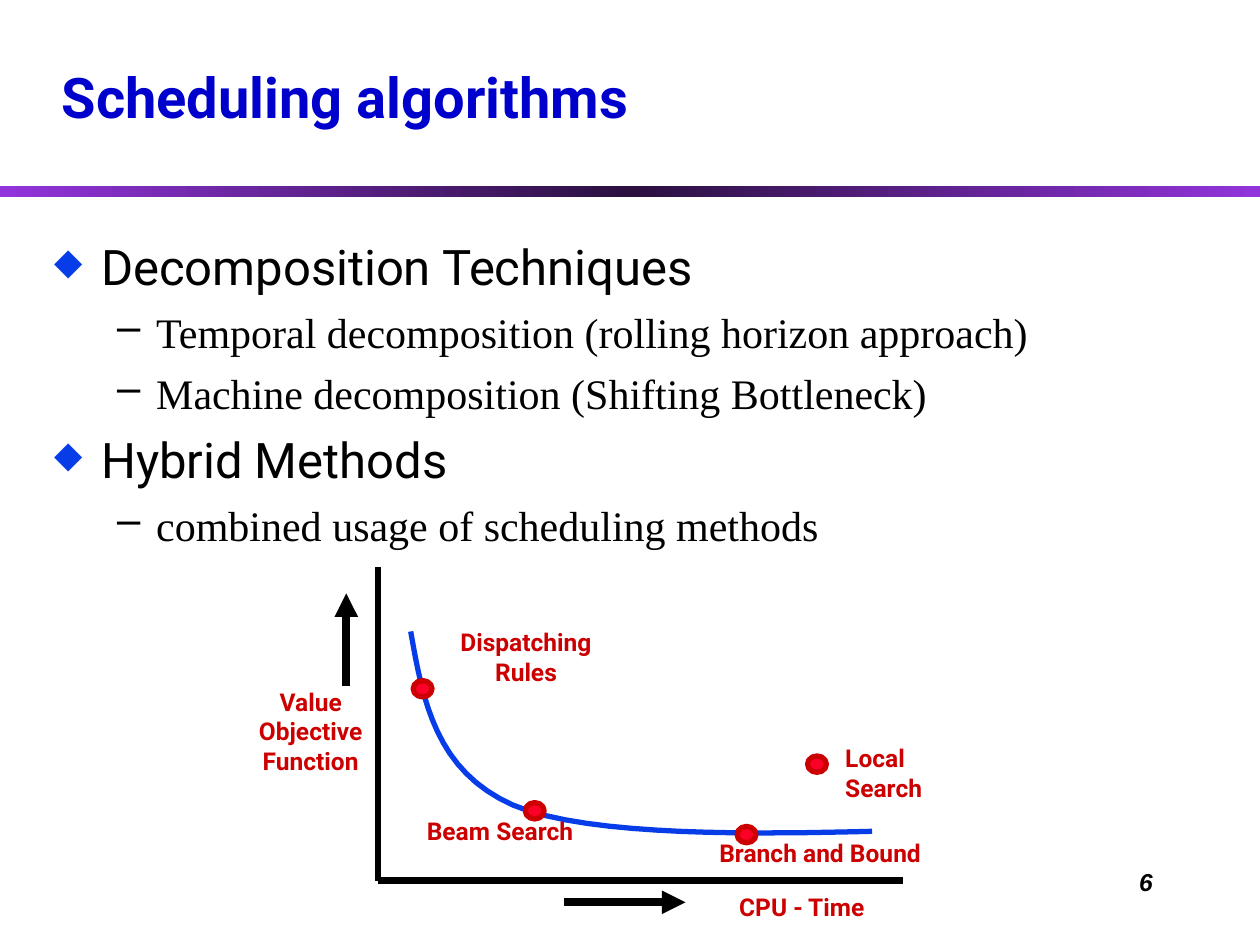
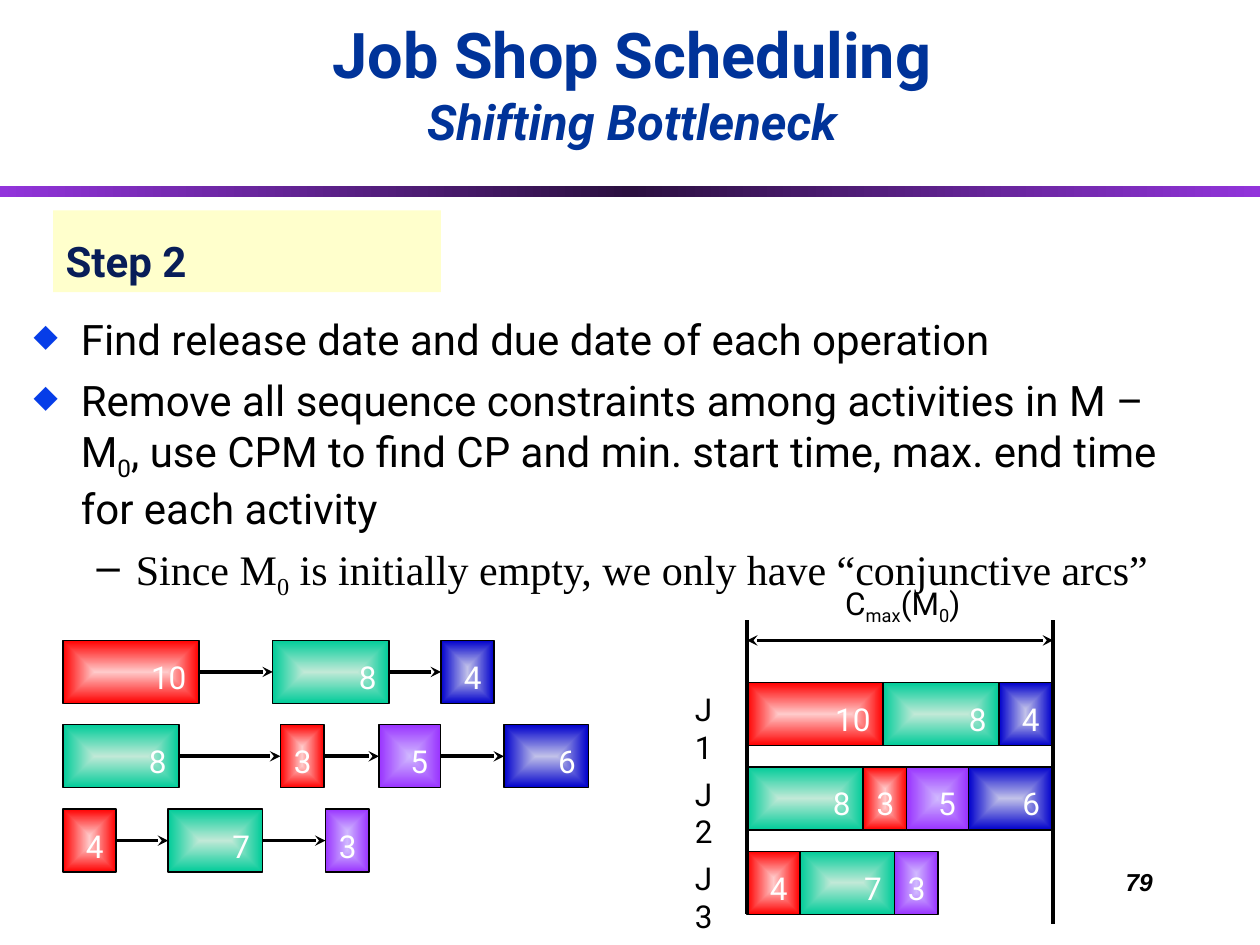
from itertools import pairwise

from lxml import etree
from pptx import Presentation
from pptx import util as u
from pptx.dml.color import RGBColor
from pptx.enum import shapes, text
from pptx.oxml import parse_xml
from pptx.oxml.ns import nsdecls, qn

BLACK = RGBColor(0x00, 0x00, 0x00)
WHITE = RGBColor(0xFF, 0xFF, 0xFF)
TITLE_BLUE = RGBColor(0x00, 0x00, 0xCC)
HEADING_BLUE = RGBColor(0x00, 0x33, 0x99)
STEP_NAVY = RGBColor(0x08, 0x1D, 0x58)
STEP_YELLOW = RGBColor(0xFF, 0xFF, 0xCC)
BULLET_BLUE = RGBColor(0x06, 0x3D, 0xE8)
LABEL_RED = RGBColor(0xCC, 0x00, 0x00)
DOT_RED = RGBColor(0xFC, 0x01, 0x28)
BAND_EDGE = RGBColor(0x92, 0x34, 0xDB)
BAND_MIDDLE = RGBColor(0x2B, 0x10, 0x40)
MACHINE_COLOURS = {
    "red": (RGBColor(0xFF, 0xCA, 0xCA), RGBColor(0xFF, 0x00, 0x00)),
    "green": (RGBColor(0xC1, 0xE9, 0xD7), RGBColor(0x00, 0xCC, 0x99)),
    "blue": (RGBColor(0xC1, 0xC1, 0xE9), RGBColor(0x00, 0x00, 0xCC)),
    "purple": (RGBColor(0xD0, 0xB8, 0xFF), RGBColor(0x99, 0x33, 0xFF)),
}

SANS, SERIF, NUMBER_FONT = "Roboto", "Times New Roman", "Arial"
LEFT, CENTER, RIGHT = text.PP_ALIGN.LEFT, text.PP_ALIGN.CENTER, text.PP_ALIGN.RIGHT
LINEAR = '<a:lin ang="0" scaled="0"/>'
FROM_CENTRE = '<a:path path="shape"><a:fillToRect l="50000" t="50000" r="50000" b="50000"/></a:path>'

JOBS = {
    "J1": [("red", 10), ("green", 8), ("blue", 4)],
    "J2": [("green", 8), ("red", 3), ("purple", 5), ("blue", 6)],
    "J3": [("red", 4), ("green", 7), ("purple", 3)],
}
CHAIN_STARTS = {
    "J1": [0, 4.23, 7.62],
    "J2": [0, 4.38, 6.37, 8.89],
    "J3": [0, 2.12, 5.29],
}
WIDTH_BY_DURATION = {3: 0.88, 4: 1.07, 5: 1.24, 6: 1.7, 7: 1.9, 8: 2.34, 10: 2.74}
ROW_PITCH, BLOCK_HEIGHT = 1.7, 1.27


def cm(*lengths):
    return [u.Cm(length) for length in lengths]


def apply(target, values):
    for name, value in values.items():
        setattr(target, name, value)


def set_font(font, size, colour, **values):
    apply(font, {"name": SANS, "size": u.Pt(size), **values})
    font.color.rgb = colour


def write_paragraph(paragraph, content, size, colour, align=LEFT, **font_values):
    paragraph.alignment = align
    for index, part in enumerate(content.split("~")):
        run = paragraph.add_run()
        run.text = part
        set_font(run.font, size, colour, **font_values)
        if index % 2:
            run._r.get_or_add_rPr().set("baseline", "-25000")


def add_label(slide, box, lines, size, colour, wrap=True, **values):
    frame = slide.shapes.add_textbox(*cm(*box)).text_frame
    frame.word_wrap = wrap
    for index, line in enumerate(lines):
        paragraph = frame.add_paragraph() if index else frame.paragraphs[0]
        write_paragraph(paragraph, line, size, colour, **values)
    return frame


def set_gradient(shape, stops, direction):
    shape.fill.background()
    properties = shape._element.spPr
    marks = "".join(
        f'<a:gs pos="{position * 1000}"><a:srgbClr val="{colour}"/></a:gs>'
        for position, colour in stops
    )
    gradient = parse_xml(
        f'<a:gradFill {nsdecls("a")} rotWithShape="1"><a:gsLst>{marks}</a:gsLst>{direction}</a:gradFill>'
    )
    properties.replace(properties.find(qn("a:noFill")), gradient)


def add_line(slide, start, end, width, head=None, tail=None):
    line = slide.shapes.add_connector(shapes.MSO_CONNECTOR.STRAIGHT, *cm(*start, *end))
    line.line.width = u.Pt(width)
    line.line.color.rgb = BLACK
    for tag, arrow in (("a:headEnd", head), ("a:tailEnd", tail)):
        if arrow:
            etree.SubElement(line.line._get_or_add_ln(), qn(tag), type=arrow)
    etree.SubElement(line._element.spPr, qn("a:effectLst"))


def add_bullets(slide, box, items, sizes):
    frame = slide.shapes.add_textbox(*cm(*box)).text_frame
    frame.word_wrap = True
    levels = [
        ("◆", BULLET_BLUE, 75, SANS, 0.95, -0.95),
        ("–", BLACK, 100, SERIF, 2.06, -0.79),
    ]
    for index, (level, content) in enumerate(items):
        paragraph = frame.add_paragraph() if index else frame.paragraphs[0]
        mark, colour, scale, font_name, margin, indent = levels[level]
        paragraph.level = level
        if index:
            paragraph.space_before = u.Pt(round(sizes[level] * 0.24))
        properties = paragraph._p.get_or_add_pPr()
        properties.set("marL", str(u.Cm(margin)))
        properties.set("indent", str(u.Cm(indent)))
        bullet_colour = etree.SubElement(properties, qn("a:buClr"))
        etree.SubElement(bullet_colour, qn("a:srgbClr"), val=str(colour))
        etree.SubElement(properties, qn("a:buSzPct"), val=str(scale * 1000))
        etree.SubElement(properties, qn("a:buChar"), char=mark)
        write_paragraph(paragraph, content, sizes[level], BLACK, name=font_name)


def start_slide(deck, title, box, size, colour, number):
    slide = deck.slides.add_slide(deck.slide_layouts[5])
    heading = slide.shapes.title
    apply(heading, dict(zip(("left", "top", "width", "height"), cm(*box))))
    apply(heading.text_frame, {
        "vertical_anchor": text.MSO_ANCHOR.BOTTOM,
        "auto_size": text.MSO_AUTO_SIZE.NONE,
        "word_wrap": True,
    })
    write_paragraph(heading.text_frame.paragraphs[0], title, size, colour, bold=True)

    band = slide.shapes.add_shape(shapes.MSO_SHAPE.RECTANGLE, *cm(0, 3.75, 25.4, 0.22))
    band.shadow.inherit = False
    band.line.fill.background()
    set_gradient(band, [(0, BAND_EDGE), (50, BAND_MIDDLE), (100, BAND_EDGE)], LINEAR)

    add_label(slide, (18.21, 17.35, 5.28, 1.27), [number], 14, BLACK,
              align=RIGHT, name=NUMBER_FONT, bold=True, italic=True)
    return slide


def bezier(start, control_a, control_b, end, steps=16):
    for step in range(1, steps + 1):
        t = step / steps
        weights = ((1 - t) ** 3, 3 * t * (1 - t) ** 2, 3 * t * t * (1 - t), t ** 3)
        yield [sum(w * value for w, value in zip(weights, axis))
               for axis in zip(start, control_a, control_b, end)]


def draw_tradeoff(slide, box):
    left, top, width, height = box

    def at(x, y):
        return left + x, top + y

    add_line(slide, at(0, 0), at(0, height), 3)
    add_line(slide, at(0, height), at(width, height), 4.5)

    start, bend, end = at(0.66, 1.3), at(2.72, 4.8), at(9.96, 5.33)
    points = [*bezier(start, at(0.91, 2.72), at(1.17, 4.11), bend),
              *bezier(bend, at(4.27, 5.46), at(7.82, 5.38), end)]
    builder = slide.shapes.build_freeform(*cm(*start))
    builder.add_line_segments([cm(*point) for point in points], close=False)
    curve = builder.convert_to_shape()
    curve.shadow.inherit = False
    curve.fill.background()
    curve.line.color.rgb = BULLET_BLUE
    curve.line.width = u.Pt(3)

    for x, y in ((0.71, 2.29), (2.97, 4.75), (7.24, 5.23), (8.66, 3.81)):
        dot = slide.shapes.add_shape(shapes.MSO_SHAPE.OVAL, *cm(*at(x, y), 0.38, 0.33))
        dot.shadow.inherit = False
        dot.fill.solid()
        dot.fill.fore_color.rgb = DOT_RED
        dot.line.color.rgb = LABEL_RED
        dot.line.width = u.Pt(3)

    add_line(slide, at(-0.64, 2.39), at(-0.64, 0.53), 4.5, tail="triangle")
    add_line(slide, at(3.76, 6.76), at(6.2, 6.76), 4.5, tail="triangle")

    labels = [
        (9.17, 3.43, 2.21, 1.45, ["Local", "Search"], LEFT),
        (-2.97, 2.29, 3.23, 2.03, ["Value", "Objective", "Function"], CENTER),
        (0.79, 1.09, 4.39, 1.45, ["Dispatching", "Rules"], CENTER),
        (0.53, 4.9, 3.86, 0.84, ["Beam Search"], CENTER),
        (5.56, 5.33, 6.71, 0.84, ["Branch and Bound"], CENTER),
        (6.6, 6.43, 3.89, 0.84, ["CPU - Time"], CENTER),
    ]
    for x, y, label_width, label_height, lines, align in labels:
        add_label(slide, (*at(x, y), label_width, label_height), lines, 14, LABEL_RED,
                  align=align, bold=True)


def add_operation(slide, left, top, machine, duration):
    block = slide.shapes.add_shape(
        shapes.MSO_SHAPE.ROUNDED_RECTANGLE,
        *cm(left, top, WIDTH_BY_DURATION[duration], BLOCK_HEIGHT))
    block.adjustments[0] = 0
    block.shadow.inherit = False
    light, strong = MACHINE_COLOURS[machine]
    set_gradient(block, [(0, light), (100, strong)], FROM_CENTRE)
    block.line.color.rgb = BLACK
    block.line.width = u.Pt(0.75)
    apply(block.text_frame, {
        "margin_left": 0, "margin_right": u.Cm(0.25),
        "margin_top": u.Cm(0.2), "margin_bottom": 0,
        "vertical_anchor": text.MSO_ANCHOR.MIDDLE, "word_wrap": True,
    })
    write_paragraph(block.text_frame.paragraphs[0], str(duration), 18, WHITE, align=RIGHT)


def draw_chains(slide, box):
    left, top = box
    for row, (job, operations) in enumerate(JOBS.items()):
        row_top = top + row * ROW_PITCH
        middle = row_top + BLOCK_HEIGHT / 2
        placed = [(left + start, *operation)
                  for start, operation in zip(CHAIN_STARTS[job], operations)]
        for (x, _, duration), (next_x, _, _) in pairwise(placed):
            add_line(slide, (x + WIDTH_BY_DURATION[duration], middle), (next_x, middle), 2,
                     tail="stealth")
        for x, machine, duration in placed:
            add_operation(slide, x, row_top, machine, duration)


def draw_gantt(slide, box):
    left, top, width, height = box
    for row, (job, operations) in enumerate(JOBS.items()):
        row_top = top + 1.26 + row * ROW_PITCH
        add_label(slide, (left - 1.3, row_top + 0.03, 1.12, 1.02), [job], 18, BLACK, wrap=False)
        x = left
        for machine, duration in operations:
            add_operation(slide, x, row_top, machine, duration)
            x += WIDTH_BY_DURATION[duration]
    right = left + width
    add_line(slide, (left, top), (left, top + height - 0.2), 2)
    add_line(slide, (right, top), (right, top + height), 2)
    add_line(slide, (left, top + 0.41), (right, top + 0.41), 2, head="stealth", tail="stealth")
    add_label(slide, (left + 1.73, top - 0.86, 2.9, 1.02), ["C~max~(M~0~)"], 18, BLACK,
              wrap=False)


def build_algorithms(deck):
    slide = start_slide(deck, "Scheduling algorithms", (0.99, 1.27, 19.74, 1.47),
                        32, TITLE_BLUE, "6")
    add_bullets(slide, (0.84, 4.65, 23.93, 6.5), [
        (0, "Decomposition Techniques"),
        (1, "Temporal decomposition (rolling horizon approach)"),
        (1, "Machine decomposition (Shifting Bottleneck)"),
        (0, "Hybrid Methods"),
        (1, "combined usage of scheduling methods"),
    ], (28, 24))
    draw_tradeoff(slide, (7.62, 11.43, 10.59, 6.32))


def build_bottleneck(deck):
    slide = start_slide(deck, "Step 2", (1.07, 4.24, 7.82, 1.65), 24, STEP_NAVY, "79")
    slide.shapes.title.fill.solid()
    slide.shapes.title.fill.fore_color.rgb = STEP_YELLOW

    heading = add_label(slide, (1.07, 0.43, 23.34, 2.72), ["Job Shop Scheduling"],
                        36, HEADING_BLUE, align=CENTER, bold=True)
    heading.vertical_anchor = text.MSO_ANCHOR.BOTTOM
    write_paragraph(heading.add_paragraph(), "Shifting Bottleneck", 28, HEADING_BLUE,
                    align=CENTER, bold=True, italic=True)

    add_bullets(slide, (0.43, 6.2, 23.93, 5.92), [
        (0, "Find release date and due date of each operation"),
        (0, "Remove all sequence constraints among activities in M – M~0~, use CPM to find CP "
            "and min. start time, max. end time for each activity"),
        (1, "Since M~0~ is initially empty, we only have “conjunctive arcs”"),
    ], (24, 24))
    draw_chains(slide, (1.27, 12.91))
    draw_gantt(slide, (15.06, 12.5, 6.17, 6.12))


def main():
    deck = Presentation()
    apply(deck, {"slide_width": u.Cm(25.4), "slide_height": u.Cm(19.05)})
    build_algorithms(deck)
    build_bottleneck(deck)
    deck.save("out.pptx")


if __name__ == "__main__":
    main()
